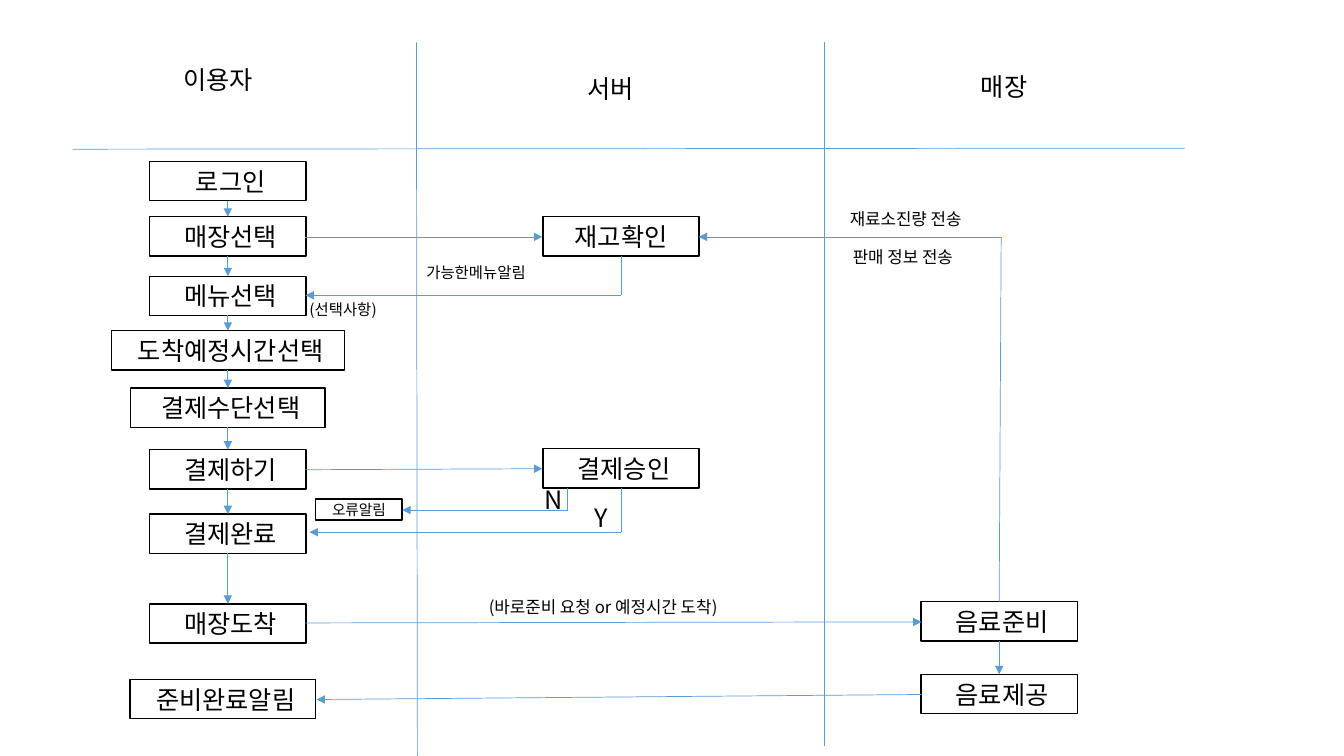
from itertools import pairwise

from lxml.etree import SubElement
from pptx import Presentation
from pptx.dml.color import RGBColor
from pptx.enum.shapes import MSO_CONNECTOR as Connector, MSO_SHAPE as Shape
from pptx.enum.text import MSO_ANCHOR as Anchor, PP_ALIGN as Align
from pptx.oxml.ns import qn
from pptx.util import Inches, Pt

COLORS = {"paper": "FFFFFF", "ink": "000000", "flow": "5B9BD5"}
FONT = "Noto Sans CJK KR"
BOX_WIDTH, BOX_HEIGHT = 1.55, 0.39
USER_X, SERVER_X, STORE_X = 2.26, 6.16, 9.91


class FlowSlide:
    """Draws boxes, captions and lines on one slide in a shared style."""

    def __init__(self, slide):
        self.slide = slide

    def color(self, name):
        return RGBColor.from_string(COLORS[name])

    def set_text(self, shape, text, size, align):
        frame = shape.text_frame
        frame.word_wrap = True
        frame.text = text
        paragraph = frame.paragraphs[0]
        paragraph.alignment = align
        for run in paragraph.runs:
            run.font.size = Pt(size)
            run.font.name = FONT
            run.font.color.rgb = self.color("ink")
            SubElement(run.font._element, qn("a:ea")).set("typeface", FONT)

    def box(self, text, center, top, width=BOX_WIDTH, height=BOX_HEIGHT, size=18):
        shape = self.slide.shapes.add_shape(
            Shape.RECTANGLE, Inches(center - width / 2), Inches(top), Inches(width), Inches(height))
        shape.shadow.inherit = False
        shape.fill.solid()
        shape.fill.fore_color.rgb = self.color("paper")
        shape.line.color.rgb = self.color("ink")
        shape.line.width = Pt(1)
        shape.text_frame.vertical_anchor = Anchor.MIDDLE
        self.set_text(shape, text, size, Align.CENTER)

    def caption(self, text, left, top, width, height, size):
        shape = self.slide.shapes.add_textbox(Inches(left), Inches(top), Inches(width), Inches(height))
        self.set_text(shape, text, size, Align.LEFT)

    def line(self, start, end, arrow=False):
        connector = self.slide.shapes.add_connector(
            Connector.STRAIGHT, *(Inches(value) for value in (*start, *end)))
        connector.line.color.rgb = self.color("flow")
        connector.line.width = Pt(0.5)
        if arrow:
            SubElement(connector.line._get_or_add_ln(), qn("a:tailEnd")).set("type", "triangle")
        SubElement(connector._element.spPr, qn("a:effectLst"))

    def route(self, *points):
        for start, end in pairwise(points):
            self.line(start, end, arrow=end == points[-1])

    def column(self, center, steps):
        for text, top, width in steps:
            self.box(text, center, top, width)
        for (_, top, _), (_, next_top, _) in pairwise(steps):
            self.line((center, top + BOX_HEIGHT), (center, next_top), arrow=True)


presentation = Presentation()
presentation.slide_width, presentation.slide_height = Inches(13.33), Inches(7.5)
flow = FlowSlide(presentation.slides.add_slide(presentation.slide_layouts[6]))

for start, end in [((0.72, 1.48), (11.75, 1.47)),
                   ((4.13, 0.42), (4.14, 7.5)),
                   ((8.18, 0.42), (8.18, 7.4))]:
    flow.line(start, end)

for heading, left, top in [("이용자", 1.72, 0.59), ("서버", 5.73, 0.68), ("매장", 9.63, 0.66)]:
    flow.caption(heading, left, top, 1.01, 0.71, 18)

flow.column(USER_X, [
    (" 로그인", 1.6, BOX_WIDTH),
    (" 매장선택", 2.15, BOX_WIDTH),
    (" 메뉴선택", 2.74, BOX_WIDTH),
    (" 도착예정시간선택", 3.28, 2.31),
    (" 결제수단선택", 3.85, 1.93),
    (" 결제하기", 4.46, BOX_WIDTH),
    (" 결제완료", 5.1, BOX_WIDTH),
    (" 매장도착", 5.99, BOX_WIDTH),
])
flow.column(STORE_X, [(" 음료준비", 5.97, BOX_WIDTH), (" 음료제공", 6.69, BOX_WIDTH)])
flow.box("재고확인", SERVER_X, 2.15)
flow.box(" 결제승인", SERVER_X, 4.45)
flow.box(" 준비완료알림", 2.21, 6.74, width=1.84)
flow.box("오류알림", 3.56, 4.95, width=0.86, height=0.21, size=10.5)

for points in [
    [(3.03, 2.35), (5.38, 2.35)],
    [(SERVER_X, 2.54), (SERVER_X, 2.93), (3.03, 2.93)],
    [(3.03, 4.66), (5.38, 4.65)],
    [(5.63, 4.84), (5.63, 5.06), (3.99, 5.06)],
    [(SERVER_X, 4.84), (SERVER_X, 5.28), (3.07, 5.28)],
    [(3.03, 6.18), (9.14, 6.17)],
    [(STORE_X, 5.97), (9.93, 2.35), (6.93, 2.35)],
    [(9.14, 6.89), (3.14, 6.94)],
]:
    flow.route(*points)

for caption in [
    ("가능한메뉴알림", 4.13, 2.56, 1.28, 0.29, 11),
    ("(선택사항)", 2.97, 2.93, 1.01, 0.29, 11),
    ("Y", 5.8, 4.93, 0.54, 0.4, 18),
    ("N", 5.3, 4.76, 0.36, 0.4, 18),
    ("(바로준비 요청 or 예정시간 도착)", 4.75, 5.87, 2.77, 0.3, 12),
    ("재료소진량 전송", 8.33, 2.02, 1.44, 0.3, 12),
    ("판매 정보 전송", 8.36, 2.4, 1.44, 0.3, 12),
]:
    flow.caption(*caption)

presentation.save("out.pptx")
